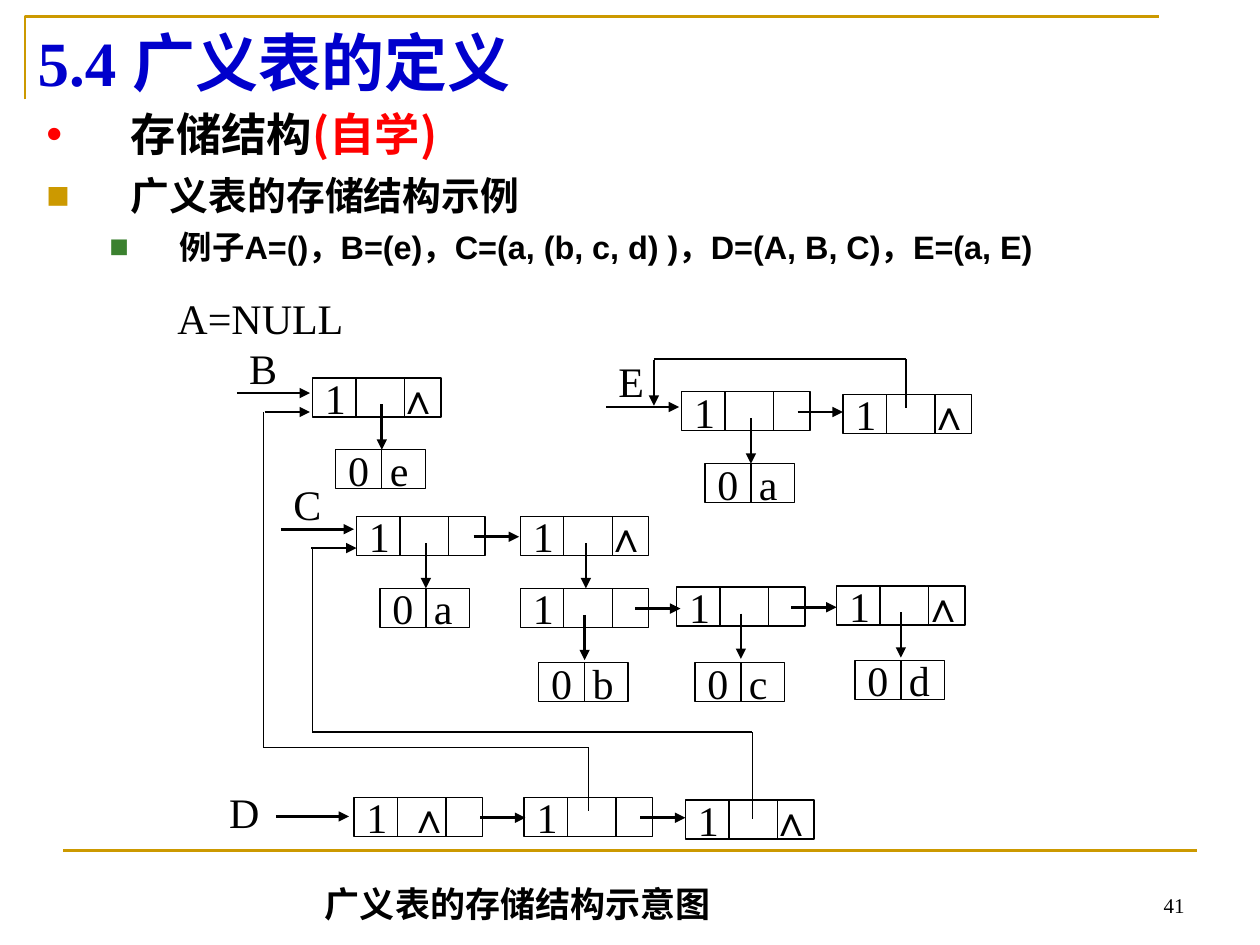
from pptx import Presentation
from pptx.dml.color import RGBColor
from pptx.enum.shapes import MSO_CONNECTOR as Connector, MSO_SHAPE as Shape
from pptx.enum.text import MSO_ANCHOR as Anchor, PP_ALIGN as Align
from pptx.oxml.ns import qn
from pptx.util import Inches, Pt
from lxml.etree import SubElement

SERIF, SANS, CJK = "Times New Roman", "Arial", "Noto Sans CJK SC"
BLACK, RED, BLUE, GOLD, GREEN = "000000", "FF0000", "0000CC", "CC9900", "3B812F"
NODE_WIDTH, LEAF_WIDTH, CELL_HEIGHT = 1.02, 0.71, 0.31
NODE_DIVIDERS, LEAF_DIVIDER = (0.345, 0.73), 0.365
SHORT_ARROW, LONG_ARROW = 0.36, 0.58


def color(value):
    return RGBColor.from_string(value)


def add_text(para, text, size=24, font=SERIF, fill=BLACK, bold=False):
    span = para.add_run()
    span.text = text
    span.font.size = Pt(size)
    span.font.name = font
    span.font.bold = bold
    span.font.color.rgb = color(fill)
    SubElement(span.font._element, qn("a:ea")).set("typeface", CJK)


def add_box(page, left, top, width, height, anchor=Anchor.MIDDLE):
    box = page.shapes.add_textbox(Inches(left), Inches(top), Inches(width), Inches(height))
    box.text_frame.word_wrap = True
    box.text_frame.vertical_anchor = anchor
    return box.text_frame


def add_line(page, start, end, width=0.75, fill=BLACK, arrow=False):
    x1, y1, x2, y2 = (Inches(value) for value in (*start, *end))
    line = page.shapes.add_connector(Connector.STRAIGHT, x1, y1, x2, y2)
    line.line.width = Pt(width)
    line.line.color.rgb = color(fill)
    if arrow:
        SubElement(line.line._get_or_add_ln(), qn("a:tailEnd")).set("type", "triangle")
    SubElement(line._element.spPr, qn("a:effectLst"))


def arrow_right(page, left, top, length=SHORT_ARROW):
    add_line(page, (left, top), (left + length, top), 1.5, arrow=True)


def arrow_down(page, left, top):
    add_line(page, (left, top), (left, top + SHORT_ARROW), 1.5, arrow=True)


def add_path(page, *points):
    for start, end in zip(points, points[1:]):
        add_line(page, start, end)


def set_tab(para, position):
    tabs = SubElement(para._p.get_or_add_pPr(), qn("a:tabLst"))
    tab = SubElement(tabs, qn("a:tab"))
    tab.set("pos", str(Inches(position)))
    tab.set("algn", "l")


def set_bullet(para, mark, fill, margin, hanging):
    props = para._p.get_or_add_pPr()
    props.set("marL", str(Inches(margin)))
    props.set("indent", str(-Inches(hanging)))
    SubElement(SubElement(props, qn("a:buClr")), qn("a:srgbClr")).set("val", fill)
    SubElement(props, qn("a:buFont")).set("typeface", SANS)
    SubElement(props, qn("a:buChar")).set("char", mark)


def add_cell(page, left, top, width, text, tab, dividers):
    """A bordered record, split by vertical dividers."""
    cell = page.shapes.add_shape(Shape.RECTANGLE, Inches(left), Inches(top),
                                 Inches(width), Inches(CELL_HEIGHT))
    cell.shadow.inherit = False
    cell.fill.background()
    cell.line.color.rgb = color(BLACK)
    cell.line.width = Pt(0.75)
    frame = cell.text_frame
    frame.word_wrap = True
    frame.margin_right = 0
    frame.vertical_anchor = Anchor.MIDDLE
    para = frame.paragraphs[0]
    para.alignment = Align.LEFT
    set_tab(para, tab)
    add_text(para, text)
    for offset in dividers:
        add_line(page, (left + offset, top), (left + offset, top + CELL_HEIGHT))


def add_node(page, left, top, null_at=None, atom=None, drop=0.55, fall=0.57, link=None):
    """A list node, with its atom below and its pointer to the next node."""
    text = "1" if null_at is None else "1\t∧"
    add_cell(page, left, top, NODE_WIDTH, text, null_at or 0.58, NODE_DIVIDERS)
    if atom:
        add_cell(page, left + drop - LEAF_DIVIDER, top + fall, LEAF_WIDTH,
                 f"0\t{atom}", 0.33, [LEAF_DIVIDER])
        arrow_down(page, left + drop, top + 0.21)
    if link:
        arrow_right(page, left + link, top + 0.16)


def add_label(page, left, top, text, width=0.5):
    add_text(add_box(page, left, top, width, 0.39).paragraphs[0], text)


def add_entry(page, left, top, name):
    """A list name above the arrow into its first node."""
    add_label(page, left, top, name)
    arrow_right(page, left, top + 0.4, LONG_ARROW)


def list_b(page, left, top):
    add_entry(page, left, top, "B")
    add_node(page, left + 0.6, top + 0.28, null_at=0.58, atom="e")


def list_e(page, left, top):
    add_entry(page, left, top, "E")
    add_node(page, left + 0.6, top + 0.28, atom="a", link=0.92)
    add_node(page, left + 1.88, top + 0.3, null_at=0.58)
    # Loop back to the first node
    add_path(page, (left + 0.38, top + 0.02), (left + 2.38, top + 0.02),
             (left + 2.38, top + 0.41))
    arrow_down(page, left + 0.38, top + 0.03)


def list_c(page, left, top):
    add_entry(page, left, top, "C")
    add_node(page, left + 0.6, top + 0.3, atom="a", link=0.93)
    add_node(page, left + 1.9, top + 0.3, null_at=0.58)
    arrow_down(page, left + 2.42, top + 0.51)
    # Sublist (b, c, d)
    add_node(page, left + 1.9, top + 0.87, atom="b", drop=0.51, fall=0.59, link=0.91)
    add_node(page, left + 3.14, top + 0.86, atom="c", drop=0.51, fall=0.6, link=0.91)
    add_node(page, left + 4.41, top + 0.85, null_at=0.58, atom="d", drop=0.51, fall=0.59)


def list_d(page, left, top):
    add_label(page, left, top, "D")
    arrow_right(page, left + 0.47, top + 0.23, LONG_ARROW)
    add_node(page, left + 1.09, top + 0.08, null_at=0.33, link=1)
    add_node(page, left + 2.44, top + 0.08, link=0.92)
    add_node(page, left + 3.72, top + 0.1, null_at=0.58)


def shared_links(page):
    """Pointers from D back to the lists B and C."""
    arrow_right(page, 2.1, 3.27)
    add_path(page, (2.09, 3.27), (2.09, 5.93), (4.67, 5.93), (4.67, 6.44))
    arrow_right(page, 2.47, 4.35)
    add_path(page, (2.48, 4.35), (2.48, 5.81), (5.97, 5.81), (5.97, 6.5))


def page_frame(page, left, top, width):
    corner = page.shapes.build_freeform(Inches(left), Inches(top + 0.66))
    corner.add_line_segments([(Inches(left), Inches(top)),
                              (Inches(left + width), Inches(top))], close=False)
    outline = corner.convert_to_shape()
    outline.shadow.inherit = False
    outline.fill.background()
    outline.line.color.rgb = color(GOLD)
    outline.line.width = Pt(1.5)
    add_line(page, (0.5, 6.75), (9.5, 6.75), 1.5, GOLD)
    number = add_box(page, 7.17, 6.83, 2.33, 0.5, Anchor.BOTTOM).paragraphs[0]
    number.alignment = Align.RIGHT
    add_text(number, "41", size=12)


def heading(page, left, top, width):
    title = add_box(page, left, top, width, 0.71).paragraphs[0]
    add_text(title, "5.4 广义表的定义", size=36, fill=BLUE, bold=True)


def outline_text(page, left, top, width):
    frame = add_box(page, left, top, width, 1.43, Anchor.TOP)
    topic, example, lists = frame.paragraphs[0], frame.add_paragraph(), frame.add_paragraph()
    topic.line_spacing = 0.9
    set_bullet(topic, "•", RED, 0.67, 0.67)
    add_text(topic, "存储结构", size=25.9, font=CJK, bold=True)
    add_text(topic, "(自学)", size=25.9, font=CJK, fill=RED, bold=True)
    example.space_before = Pt(6)
    set_bullet(example, "■", GOLD, 0.67, 0.67)
    add_text(example, "广义表的存储结构示例", size=22.2, font=SANS, bold=True)
    lists.level = 1
    lists.space_before = Pt(5)
    set_bullet(lists, "■", GREEN, 1.06, 0.56)
    add_text(lists, "例子A=()，B=(e)，C=(a, (b, c, d) )，D=(A, B, C)，E=(a, E)",
             size=18.5, font=SANS, bold=True)


def caption(page, left, top, width):
    para = add_box(page, left, top, width, 0.42).paragraphs[0]
    para.alignment = Align.CENTER
    add_text(para, "广义表的存储结构示意图", size=20, font=CJK, bold=True)


def main():
    deck = Presentation()
    deck.slide_width, deck.slide_height = Inches(10), Inches(7.5)
    page = deck.slides.add_slide(deck.slide_layouts[6])
    page_frame(page, 0.2, 0.13, 9)
    heading(page, 0.2, 0.13, 9)
    outline_text(page, 0.27, 0.84, 9.1)
    add_label(page, 1.31, 2.33, "A=NULL", width=1.65)
    list_b(page, 1.88, 2.72)
    list_e(page, 4.81, 2.83)
    list_c(page, 2.23, 3.8)
    list_d(page, 1.72, 6.25)
    shared_links(page)
    caption(page, 1.65, 6.96, 4.92)
    deck.save("out.pptx")


if __name__ == "__main__":
    main()
